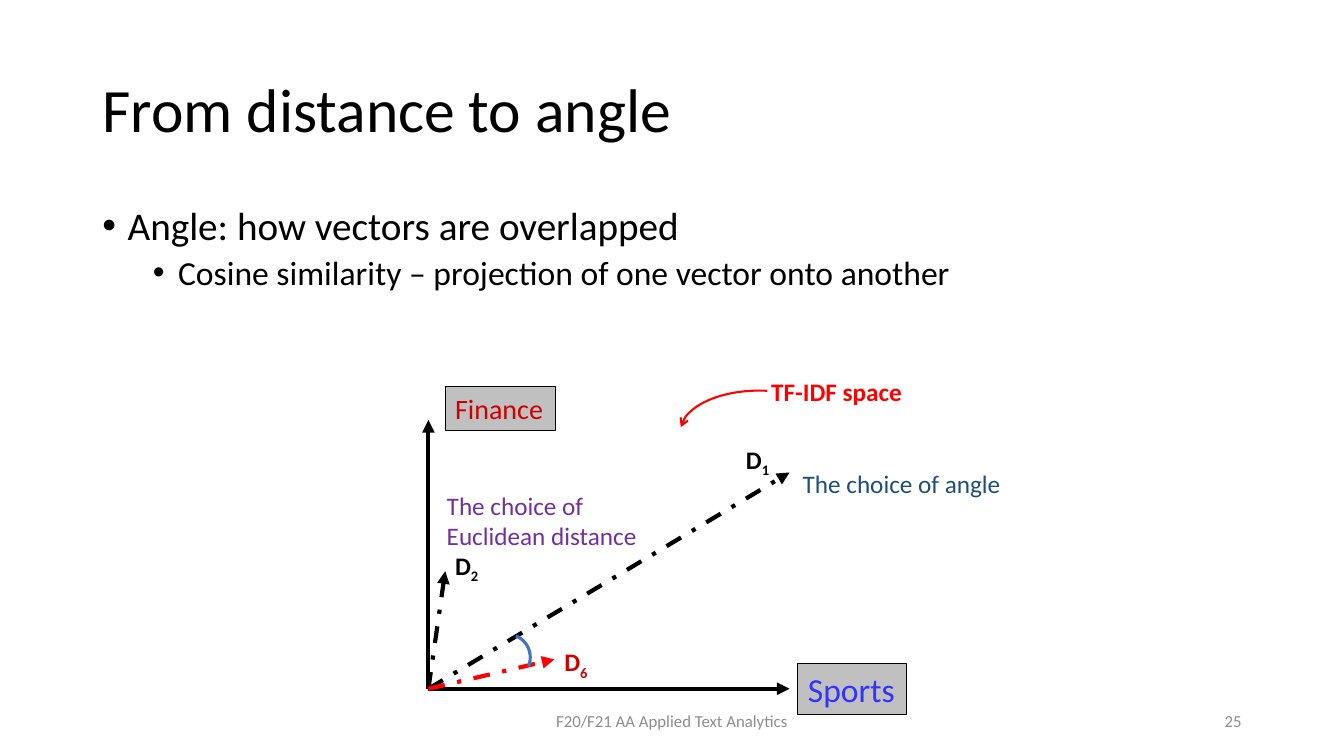
import pptx
import pptx.dml.color
import pptx.enum.dml
import pptx.enum.shapes
import pptx.enum.text
import pptx.oxml.xmlchemy
import pptx.util
from pptx.oxml.ns import qn
import lxml.etree

COLOURS = {
    "black": "000000", "red": "FF0000", "dark red": "CC0000", "grey": "C0C0C0",
    "footer": "8C8C8C", "sports": "3333FF", "angle": "1F4E79",
    "distance": "7030A0", "arc": "4472C4",
}
ALIGN = pptx.enum.text.PP_ALIGN
ANCHOR = pptx.enum.text.MSO_ANCHOR
FIT = pptx.enum.text.MSO_AUTO_SIZE
SHAPES = pptx.enum.shapes.MSO_SHAPE


def px(value):
    return pptx.util.Emu(value * 9525)


def colour(name):
    return pptx.dml.color.RGBColor.from_string(COLOURS[name])


class SlideBuilder:
    """Hold the style and the current slide, and draw each kind of element."""

    font_name = "Calibri"

    def __init__(self, presentation):
        self.slide = presentation.slides.add_slide(presentation.slide_layouts[1])

    def style(self, paragraph, size, ink="black", bold=False, align=ALIGN.LEFT):
        paragraph.alignment = align
        font = paragraph.font
        font.name = self.font_name
        font.size = pptx.util.Pt(size)
        font.bold = bold
        font.color.rgb = colour(ink)

    def placeholder(self, index, box, anchor):
        shape = self.slide.placeholders[index]
        shape.left, shape.top, shape.width, shape.height = map(px, box)
        frame = shape.text_frame
        frame.auto_size = FIT.NONE
        frame.vertical_anchor = anchor
        return frame

    def title(self, text, box):
        frame = self.placeholder(0, box, ANCHOR.MIDDLE)
        frame.text = text
        paragraph = frame.paragraphs[0]
        paragraph.line_spacing = 0.9
        self.style(paragraph, 44)

    def bullets(self, items, box):
        frame = self.placeholder(1, box, ANCHOR.TOP)
        for level, (text, size, space) in enumerate(items):
            paragraph = frame.add_paragraph() if level else frame.paragraphs[0]
            paragraph.text = text
            paragraph.level = level
            properties = paragraph._p.get_or_add_pPr()
            properties.set("marL", str(px(24 + 48 * level)))
            properties.set("indent", str(px(-24)))
            bullet_font = lxml.etree.SubElement(properties, qn("a:buFont"))
            bullet_font.set("typeface", "Arial")
            lxml.etree.SubElement(properties, qn("a:buChar")).set("char", "•")
            paragraph.line_spacing = 0.9
            paragraph.space_before = pptx.util.Pt(space)
            self.style(paragraph, size)

    def text(self, text, box, size, ink, bold=False, align=ALIGN.LEFT,
             anchor=ANCHOR.TOP, wrap=True, subscript=""):
        frame = self.slide.shapes.add_textbox(*map(px, box)).text_frame
        frame.word_wrap = wrap
        frame.auto_size = FIT.SHAPE_TO_FIT_TEXT if anchor == ANCHOR.TOP else FIT.NONE
        frame.vertical_anchor = anchor
        paragraph = frame.paragraphs[0]
        paragraph.add_run().text = text
        if subscript:
            run = paragraph.add_run()
            run.text = subscript
            run._r.get_or_add_rPr().set("baseline", "-25000")
        self.style(paragraph, size, ink, bold, align)

    def axis_label(self, text, box, size, ink):
        shape = self.slide.shapes.add_shape(SHAPES.RECTANGLE, *map(px, box))
        shape.shadow.inherit = False
        shape.fill.solid()
        shape.fill.fore_color.rgb = colour("grey")
        shape.line.color.rgb = colour("black")
        shape.line.width = pptx.util.Pt(0.75)
        frame = shape.text_frame
        frame.word_wrap = False
        frame.auto_size = FIT.SHAPE_TO_FIT_TEXT
        frame.vertical_anchor = ANCHOR.TOP
        frame.text = text
        self.style(frame.paragraphs[0], size, ink)

    def arrowhead(self, line, end, kind):
        lxml.etree.SubElement(line._get_or_add_ln(), qn(f"a:{end}")).set("type", kind)

    def vector(self, start, end, ink="black", dashed=True):
        connector = self.slide.shapes.add_connector(
            pptx.enum.shapes.MSO_CONNECTOR.STRAIGHT, *map(px, start + end))
        line = connector.line
        line.color.rgb = colour(ink)
        line.width = pptx.util.Pt(3)
        if dashed:
            line.dash_style = pptx.enum.dml.MSO_LINE.DASH_DOT
        self.arrowhead(line, "tailEnd", "triangle")
        lxml.etree.SubElement(connector._element.spPr, qn("a:effectLst"))

    def arc(self, box, ink, width, angles=(270, 0), rotation=0, arrow=False):
        shape = self.slide.shapes.add_shape(SHAPES.ARC, *map(px, box))
        shape.shadow.inherit = False
        shape.fill.background()
        shape.rotation = rotation
        for index, angle in enumerate(angles):
            shape.adjustments[index] = angle * 0.6
        shape.line.color.rgb = colour(ink)
        shape.line.width = pptx.util.Pt(width)
        if arrow:
            self.arrowhead(shape.line, "headEnd", "arrow")


def main():
    presentation = pptx.Presentation()
    presentation.slide_width = px(1280)
    presentation.slide_height = px(720)
    builder = SlideBuilder(presentation)

    builder.title("From distance to angle", (88, 38, 1104, 139))
    builder.bullets([
        ("Angle: how vectors are overlapped", 28, 0),
        ("Cosine similarity – projection of one vector onto another", 24, 5),
    ], (88, 192, 1104, 457))

    origin = (408, 656)
    for tip in ((752, 656), (408, 400)):
        builder.vector(origin, tip, dashed=False)
    builder.axis_label("Sports", (760, 632, 103, 49), 24, "sports")
    builder.axis_label("Finance", (424, 368, 105, 42), 20, "dark red")

    documents = [
        ("1", (752, 450), (701, 418), "black", "black"),
        ("2", (424, 544), (424, 519), "black", "black"),
        ("6", (528, 628), (528, 611), "red", "dark red"),
    ]
    for number, tip, corner, line_ink, text_ink in documents:
        builder.vector(origin, tip, line_ink)
        builder.text("D", corner + (43, 38), 18, text_ink, bold=True,
                     wrap=False, subscript=number)

    builder.text("TF-IDF space", (725, 354, 208, 38), 18, "red", bold=True)
    builder.arc((648, 372, 150, 78), "red", 1.5, angles=(183.18, 280.8), arrow=True)
    builder.arc((461, 604, 44, 45), "arc", 2.25, rotation=21.7)
    builder.text("The choice of angle", (755, 441, 234, 38), 18, "angle")
    builder.text("The choice of Euclidean distance", (416, 462, 234, 68), 18, "distance")

    builder.text("F20/F21 AA Applied Text Analytics", (424, 667, 432, 38), 12,
                 "footer", align=ALIGN.CENTER, anchor=ANCHOR.MIDDLE)
    builder.text("25", (904, 667, 288, 38), 12, "footer", align=ALIGN.RIGHT,
                 anchor=ANCHOR.MIDDLE)
    presentation.save("out.pptx")


if __name__ == "__main__":
    main()
